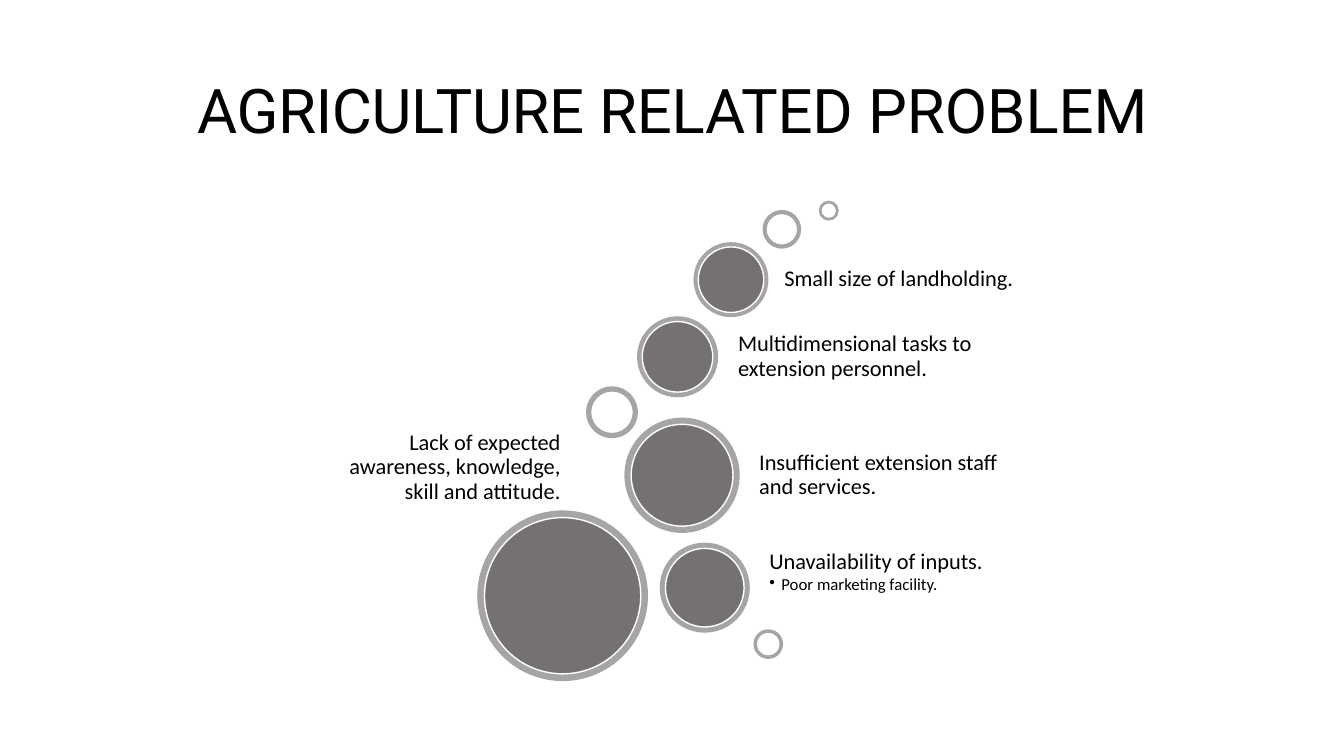
from dataclasses import dataclass

from lxml import etree
from pptx import Presentation
from pptx import util as u
from pptx.dml.color import RGBColor
from pptx.enum import shapes, text
from pptx.oxml import ns

# Slide grid: 133.3 columns by 75 rows
WIDTH, HEIGHT = u.Inches(13.33), u.Inches(7.5)
COLUMN, ROW = WIDTH / 133.3, HEIGHT / 75


@dataclass(frozen=True)
class Theme:
    ring: RGBColor = RGBColor(0xA5, 0xA5, 0xA5)
    disc: RGBColor = RGBColor(0x76, 0x71, 0x71)
    edge: RGBColor = RGBColor(0xFF, 0xFF, 0xFF)
    ink: RGBColor = RGBColor(0, 0, 0)
    title_font: str = "Roboto"
    body_font: str = "Calibri"
    title_size: int = 44
    label_size: int = 16
    detail_size: int = 12


@dataclass(frozen=True)
class Bubble:
    x: float  # centre column
    y: float  # centre row
    outer: float
    inner: float


@dataclass(frozen=True)
class Ring:
    x: float
    y: float
    size: float


@dataclass(frozen=True)
class Label:
    left: float
    top: float
    height: float
    words: str
    anchor: text.MSO_ANCHOR = text.MSO_ANCHOR.MIDDLE
    align: text.PP_ALIGN = text.PP_ALIGN.LEFT
    detail: str = ""


THEME = Theme()
LABEL_WIDTH = 25
TITLE = [("AGRICULTURE ", -30), ("RELATED ", -20), ("PROBLEM", 0)]
BUBBLES = [
    Bubble(55.8, 59.1, 16.8, 15.5),
    Bubble(69.9, 58.3, 8.8, 7.8),
    Bubble(67.65, 47.15, 11.3, 10.1),
    Bubble(67.2, 35.4, 7.9, 7),
    Bubble(72.5, 27.75, 7.3, 6.5),
]
RINGS = [
    Ring(60.7, 40.9, 5),
    Ring(77.55, 22.75, 3.7),
    Ring(82.2, 20.9, 1.85),
    Ring(76.2, 63.9, 2.8),
]
LABELS = [
    Label(30.8, 42.1, 7.9, "Lack of expected awareness, knowledge, skill and attitude.",
          text.MSO_ANCHOR.BOTTOM, text.PP_ALIGN.RIGHT),
    Label(76.1, 54.4, 7.8, "Unavailability of inputs.",
          text.MSO_ANCHOR.TOP, detail="Poor marketing facility."),
    Label(75.1, 42.1, 10.1, "Insufficient extension staff and services."),
    Label(73, 31.9, 7, "Multidimensional tasks to extension personnel."),
    Label(77.6, 24.5, 6.5, "Small size of landholding."),
]


def apply(target: object, values: dict) -> None:
    for name, value in values.items():
        setattr(target, name, value)


def place(left: float, top: float, width: float, height: float) -> tuple:
    return (u.Emu(round(left * COLUMN)), u.Emu(round(top * ROW)),
            u.Emu(round(width * COLUMN)), u.Emu(round(height * ROW)))


def add_span(para, words: str, font: str, size: int):
    span = para.add_run()
    span.text = words
    apply(span.font, {"name": font, "size": u.Pt(size), "bold": False})
    span.font.color.rgb = THEME.ink
    return span


def draw_title(page) -> None:
    box = page.shapes.title
    apply(box, dict(zip(("left", "top", "width", "height"), place(9.2, 4, 115, 14.5))))
    apply(box.text_frame, {"word_wrap": True, "vertical_anchor": text.MSO_ANCHOR.MIDDLE})
    para = box.text_frame.paragraphs[0]
    apply(para, {"alignment": text.PP_ALIGN.CENTER, "line_spacing": 0.9})
    for words, spacing in TITLE:
        span = add_span(para, words, THEME.title_font, THEME.title_size)
        span.font._element.set("spc", str(spacing))


def draw_round(page, kind: shapes.MSO_SHAPE, x: float, y: float, size: float,
               fill: RGBColor, line: RGBColor):
    shape = page.shapes.add_shape(kind, *place(x - size / 2, y - size / 2, size, size))
    shape.shadow.inherit = False
    shape.fill.solid()
    shape.fill.fore_color.rgb = fill
    shape.line.color.rgb = line
    shape.line.width = u.Pt(1)
    return shape


def draw_bubble(page, bubble: Bubble) -> None:
    oval = shapes.MSO_SHAPE.OVAL
    draw_round(page, oval, bubble.x, bubble.y, bubble.outer, THEME.ring, THEME.ring)
    draw_round(page, oval, bubble.x, bubble.y, bubble.inner, THEME.disc, THEME.edge)


def draw_ring(page, ring: Ring) -> None:
    shape = draw_round(page, shapes.MSO_SHAPE.DONUT, ring.x, ring.y, ring.size,
                       THEME.ring, THEME.ring)
    shape.adjustments[0] = 0.075


def draw_label(page, label: Label) -> None:
    box = page.shapes.add_textbox(*place(label.left, label.top, LABEL_WIDTH, label.height))
    frame = box.text_frame
    inset = u.Inches(0.02)
    bottom = 0 if label.anchor == text.MSO_ANCHOR.BOTTOM else inset
    apply(frame, {"word_wrap": True, "vertical_anchor": label.anchor,
                  "margin_left": inset, "margin_right": inset,
                  "margin_top": inset, "margin_bottom": bottom})
    para = frame.paragraphs[0]
    apply(para, {"alignment": label.align, "line_spacing": 0.9})
    add_span(para, label.words, THEME.body_font, THEME.label_size)
    if label.detail:
        para = frame.add_paragraph()
        properties = para._p.get_or_add_pPr()
        indent = u.Inches(0.12)
        properties.set("marL", str(indent))
        properties.set("indent", str(-indent))
        etree.SubElement(properties, ns.qn("a:buChar")).set("char", "•")
        apply(para, {"level": 1, "line_spacing": 0.9, "space_before": u.Pt(1)})
        add_span(para, label.detail, THEME.body_font, THEME.detail_size)


def main() -> None:
    deck = Presentation()
    apply(deck, {"slide_width": WIDTH, "slide_height": HEIGHT})
    page = deck.slides.add_slide(deck.slide_layouts.get_by_name("Title Only"))
    draw_title(page)
    # Bubble trail, then its captions
    for bubble in BUBBLES:
        draw_bubble(page, bubble)
    for ring in RINGS:
        draw_ring(page, ring)
    for label in LABELS:
        draw_label(page, label)
    deck.save("out.pptx")


if __name__ == "__main__":
    main()
